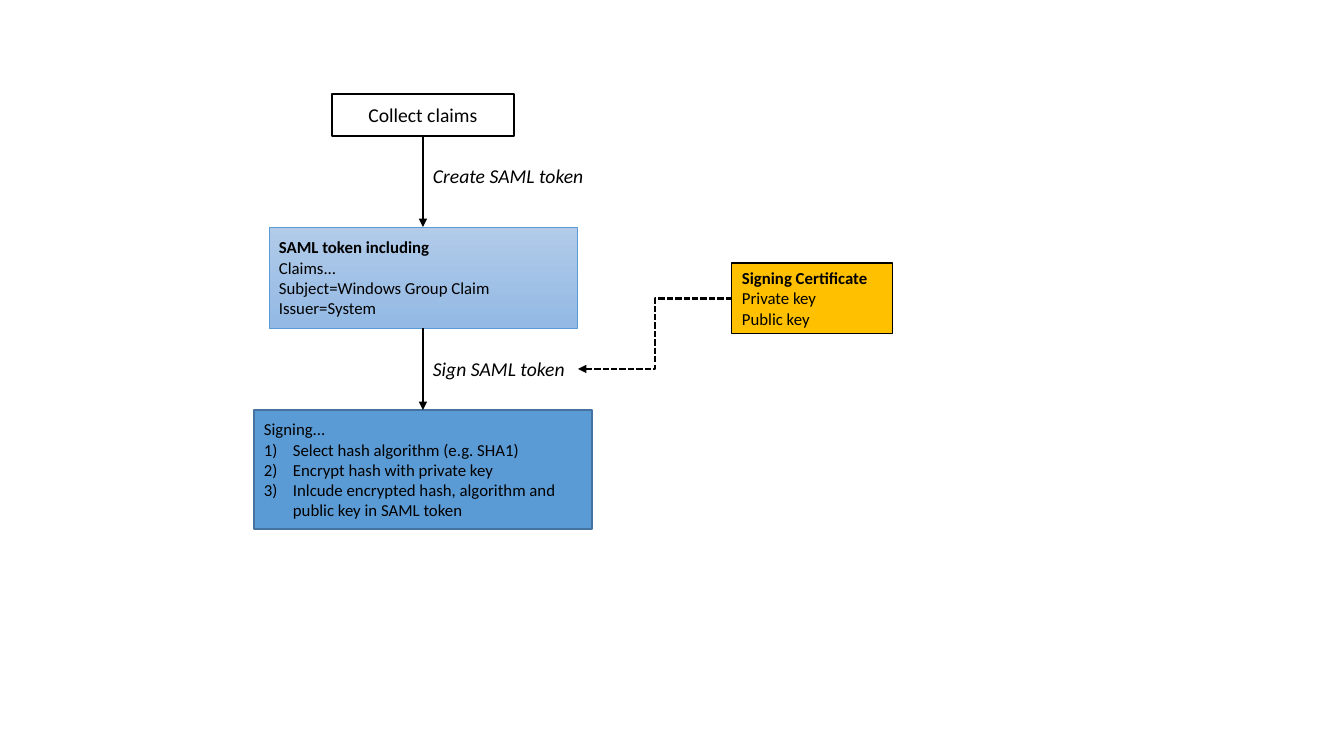
"""Build a flow diagram of how a SAML token is created and signed."""
from dataclasses import dataclass

from lxml.etree import SubElement
from pptx import Presentation
from pptx.dml.color import RGBColor
from pptx.enum.dml import MSO_LINE
from pptx.enum.shapes import MSO_CONNECTOR, MSO_SHAPE
from pptx.enum.text import MSO_ANCHOR, MSO_AUTO_SIZE, PP_ALIGN
from pptx.oxml.ns import qn
from pptx.util import Emu, Pt

FONT = "Calibri"
BLACK = "000000"
TOP, LEFT, BOTTOM, RIGHT = range(4)
SITES = {TOP: (0.5, 0), LEFT: (0, 0.5), BOTTOM: (0.5, 1), RIGHT: (1, 0.5)}


@dataclass(frozen=True)
class Line:
    """A paragraph of text and its style."""
    text: str
    bold: bool = False
    italic: bool = False
    numbered: bool = False


@dataclass(frozen=True)
class Block:
    """A filled box, or a plain label when it has no fill colours."""
    key: str
    left: int
    top: int
    width: int
    height: int
    lines: tuple[Line, ...]
    fill: tuple[str, ...] = ()
    border: str = BLACK
    border_width: float = 1
    size: int = 12
    centred: bool = False
    grows: bool = False


@dataclass(frozen=True)
class Arrow:
    """An arrow between connection sites of two blocks."""
    start: str
    start_site: int
    end: str
    end_site: int
    kind: MSO_CONNECTOR = MSO_CONNECTOR.STRAIGHT
    dashed: bool = False


def px(value: int) -> Emu:
    """Turn pixels into EMU."""
    return Emu(round(value * 914400 / 100.8))


def colour(code: str) -> RGBColor:
    """Turn a hex string into a colour."""
    return RGBColor.from_string(code)


def style_box(box, block: Block) -> None:
    """Set the fill and border of a box."""
    box.shadow.inherit = False
    if len(block.fill) > 1:
        box.fill.gradient()
        box.fill.gradient_angle = 270
        for position, (stop, code) in enumerate(zip(box.fill.gradient_stops, block.fill)):
            stop.position = position
            stop.color.rgb = colour(code)
    else:
        box.fill.solid()
        box.fill.fore_color.rgb = colour(block.fill[0])
    box.line.color.rgb = colour(block.border)
    box.line.width = Pt(block.border_width)


def number(para) -> None:
    """Give a paragraph an automatic number and a hanging indent."""
    properties = para._p.get_or_add_pPr()
    properties.set("marL", str(px(29)))
    properties.set("indent", str(-px(29)))
    SubElement(properties, qn("a:buFont"), typeface="+mj-lt")
    SubElement(properties, qn("a:buAutoNum"), type="arabicParenR")


def write(frame, block: Block) -> None:
    """Write the lines of a block into its text frame."""
    frame.word_wrap = True
    frame.vertical_anchor = MSO_ANCHOR.TOP if block.grows else MSO_ANCHOR.MIDDLE
    if block.grows:
        frame.auto_size = MSO_AUTO_SIZE.SHAPE_TO_FIT_TEXT
    for index, line in enumerate(block.lines):
        para = frame.add_paragraph() if index else frame.paragraphs[0]
        para.alignment = PP_ALIGN.CENTER if block.centred else PP_ALIGN.LEFT
        if line.numbered:
            number(para)
        span = para.add_run()
        span.text = line.text
        span.font.name = FONT
        span.font.size = Pt(block.size)
        span.font.bold = line.bold
        span.font.italic = line.italic
        span.font.color.rgb = colour(BLACK)


def draw_block(page, block: Block):
    """Draw a box or label and return it."""
    area = [px(value) for value in (block.left, block.top, block.width, block.height)]
    if block.fill:
        box = page.shapes.add_shape(MSO_SHAPE.RECTANGLE, *area)
        style_box(box, block)
    else:
        box = page.shapes.add_textbox(*area)
    write(box.text_frame, block)
    return box


def site_point(box, site: int) -> tuple[Emu, Emu]:
    """Return the place of a connection site of a box."""
    across, down = SITES[site]
    return Emu(round(box.left + across * box.width)), Emu(round(box.top + down * box.height))


def draw_arrow(page, arrow: Arrow, boxes: dict) -> None:
    """Draw an arrow that is attached to two blocks."""
    start, end = boxes[arrow.start], boxes[arrow.end]
    connector = page.shapes.add_connector(
        arrow.kind, *site_point(start, arrow.start_site), *site_point(end, arrow.end_site))
    connector.begin_connect(start, arrow.start_site)
    connector.end_connect(end, arrow.end_site)
    connector.line.color.rgb = colour(BLACK)
    connector.line.width = Pt(1.5)
    if arrow.dashed:
        connector.line.dash_style = MSO_LINE.SQUARE_DOT
    SubElement(connector.line._get_or_add_ln(), qn("a:tailEnd"), type="triangle")
    SubElement(connector._element.spPr, qn("a:effectLst"))


BLOCKS = (
    Block("token", 269, 227, 308, 101, (
        Line("SAML token including", bold=True),
        Line("Claims..."),
        Line("Subject=Windows Group Claim"),
        Line("Issuer=System"),
    ), ("B1CBE9", "93B9E4"), "5B9BD5", 0.5),
    Block("certificate", 732, 263, 161, 71, (
        Line("Signing Certificate", bold=True),
        Line("Private key"),
        Line("Public key"),
    ), ("FFC000",), border_width=0.75, grows=True),
    Block("signing", 254, 410, 338, 119, (
        Line("Signing..."),
        Line("Select hash algorithm (e.g. SHA1)", numbered=True),
        Line("Encrypt hash with private key", numbered=True),
        Line("Inlcude encrypted hash, algorithm and public key in SAML token", numbered=True),
    ), ("5B9BD5",), "43739E"),
    Block("claims", 332, 94, 182, 42, (Line("Collect claims"),),
          ("FFFFFF",), size=14, centred=True),
    Block("create", 423, 159, 256, 34, (Line("Create SAML token", italic=True),),
          size=14, grows=True),
    Block("sign", 423, 352, 155, 34, (Line("Sign SAML token", italic=True),),
          size=14, grows=True),
)

ARROWS = (
    Arrow("claims", BOTTOM, "token", TOP),
    Arrow("token", BOTTOM, "signing", TOP),
    Arrow("certificate", LEFT, "sign", RIGHT, MSO_CONNECTOR.ELBOW, dashed=True),
)


def main() -> None:
    """Build and save the deck."""
    deck = Presentation()
    deck.slide_width, deck.slide_height = px(1344), px(756)
    page = deck.slides.add_slide(deck.slide_layouts[6])
    boxes = {block.key: draw_block(page, block) for block in BLOCKS}
    for arrow in ARROWS:
        draw_arrow(page, arrow, boxes)
    deck.save("out.pptx")


main()
